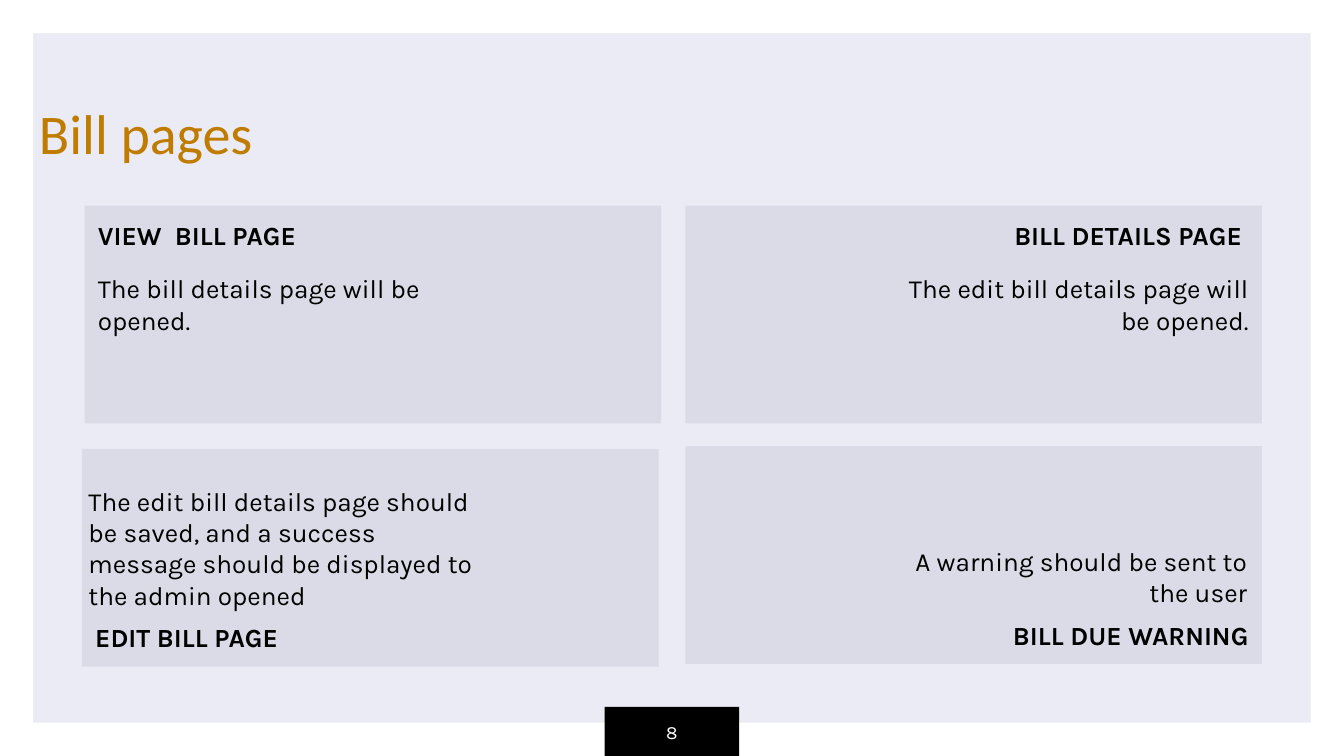
from dataclasses import dataclass

from pptx import Presentation
from pptx.dml.color import RGBColor
from pptx.enum.shapes import MSO_SHAPE
from pptx.enum.text import MSO_ANCHOR, MSO_AUTO_SIZE, PP_ALIGN
from pptx.util import Inches, Pt

SLIDE_WIDTH = 10
SLIDE_HEIGHT = SLIDE_WIDTH * 9 / 16
BODY = {"name": "Karla", "size": Pt(14), "bold": False}
HEADING = BODY | {"bold": True}
NUMBER = BODY | {"size": Pt(10)}
TITLE = {"name": "Calibri", "size": Pt(30), "bold": False}
LEFT, RIGHT, CENTER = PP_ALIGN.LEFT, PP_ALIGN.RIGHT, PP_ALIGN.CENTER
TOP, MIDDLE, BOTTOM = MSO_ANCHOR.TOP, MSO_ANCHOR.MIDDLE, MSO_ANCHOR.BOTTOM


@dataclass
class Card:
    left: float
    top: float
    align: PP_ALIGN
    anchor: MSO_ANCHOR
    heading: str
    body: str = ""


@dataclass
class Note:
    left: float
    top: float
    width: float
    height: float
    align: PP_ALIGN
    text: str


CARDS = [
    Card(0.63, 1.53, LEFT, TOP, "VIEW  BILL PAGE", "The bill details page will be opened."),
    Card(5.1, 1.53, RIGHT, TOP, "BILL DETAILS PAGE ", "The edit bill details page will be opened."),
    Card(0.61, 3.34, LEFT, BOTTOM, "EDIT BILL PAGE"),
    Card(5.1, 3.32, RIGHT, BOTTOM, "BILL DUE WARNING"),
]
NOTES = [
    Note(0.56, 3.56, 3.08, 1.28, LEFT,
         "The edit bill details page should be saved, and a success message "
         "should be displayed to the admin opened"),
    Note(6.43, 4.01, 2.95, 0.57, RIGHT, "A warning should be sent to the user"),
]


def color(value: str) -> RGBColor:
    return RGBColor.from_string(value)


def set_attrs(obj, values: dict) -> None:
    for name, value in values.items():
        setattr(obj, name, value)


def set_frame(tf, anchor: MSO_ANCHOR, left: float = 0.1, right: float = 0.1, edge: float = 0.1) -> None:
    set_attrs(tf, {
        "word_wrap": True,
        "auto_size": MSO_AUTO_SIZE.NONE,
        "vertical_anchor": anchor,
        "margin_left": Inches(left),
        "margin_right": Inches(right),
        "margin_top": Inches(edge),
        "margin_bottom": Inches(edge),
    })


def write(p, text: str, align: PP_ALIGN, font: dict, hex_color: str = "000000") -> None:
    p.alignment = align
    r = p.add_run()
    r.text = text
    set_attrs(r.font, font)
    r.font.color.rgb = color(hex_color)


def add_box(s, kind: MSO_SHAPE, left: float, top: float, width: float, height: float, fill: str):
    sp = s.shapes.add_shape(kind, Inches(left), Inches(top), Inches(width), Inches(height))
    sp.shadow.inherit = False
    sp.fill.solid()
    sp.fill.fore_color.rgb = color(fill)
    sp.line.fill.background()
    return sp


def add_card(s, card: Card) -> None:
    tf = add_box(s, MSO_SHAPE.RECTANGLE, card.left, card.top, 4.29, 1.62, "DADBE6").text_frame
    left, right = (0.1, 1.5) if card.align == LEFT else (1.5, 0.1)
    set_frame(tf, card.anchor, left, right)
    write(tf.paragraphs[0], card.heading, card.align, HEADING)
    if card.body:
        p = tf.add_paragraph()
        p.space_before = Pt(12)
        write(p, card.body, card.align, BODY)


def add_note(s, note: Note) -> None:
    sp = s.shapes.add_textbox(Inches(note.left), Inches(note.top), Inches(note.width), Inches(note.height))
    set_frame(sp.text_frame, TOP, edge=0.05)
    write(sp.text_frame.paragraphs[0], note.text, note.align, BODY)


def main() -> None:
    prs = Presentation()
    prs.slide_width, prs.slide_height = Inches(SLIDE_WIDTH), Inches(SLIDE_HEIGHT)
    s = prs.slides.add_slide(prs.slide_layouts[5])
    s.background.fill.solid()
    s.background.fill.fore_color.rgb = color("EAEBF4")

    border = add_box(s, MSO_SHAPE.FRAME, 0, 0, SLIDE_WIDTH, SLIDE_HEIGHT, "FFFFFF")
    border.adjustments[0] = 0.044
    tab = add_box(s, MSO_SHAPE.RECTANGLE, 4.5, 5.26, 1, 0.37, "000000")
    set_frame(tab.text_frame, MIDDLE)
    write(tab.text_frame.paragraphs[0], "8", CENTER, NUMBER, "FFFFFF")

    title = s.shapes.title
    set_attrs(title, {"left": Inches(0), "top": Inches(0.39), "width": Inches(5.62), "height": Inches(0.94)})
    set_frame(title.text_frame, BOTTOM, left=0.29)
    write(title.text_frame.paragraphs[0], "Bill pages", LEFT, TITLE, "BF7C00")

    for card in CARDS:
        add_card(s, card)
    for note in NOTES:
        add_note(s, note)
    prs.save("out.pptx")


if __name__ == "__main__":
    main()
